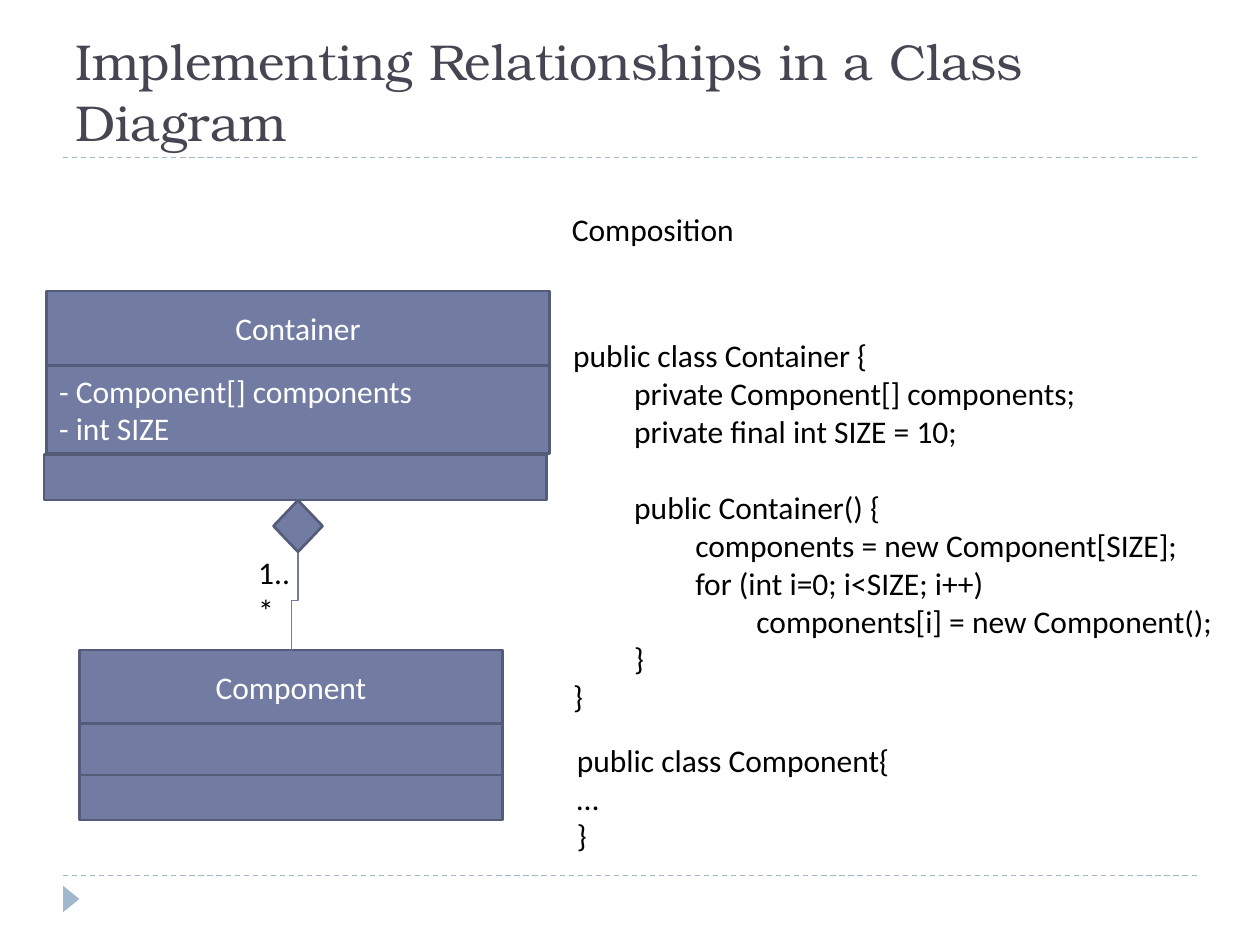
from lxml import etree
from pptx import Presentation
from pptx import util as u
from pptx.dml.color import RGBColor
from pptx.enum import dml, shapes, text
from pptx.oxml.ns import qn

BLUE = RGBColor(0x72, 0x7C, 0xA3)
EDGE = RGBColor(0x54, 0x5C, 0x79)
PALE = RGBColor(0x9F, 0xB8, 0xCD)
HEADING = RGBColor(0x46, 0x46, 0x53)
BLACK = RGBColor(0, 0, 0)
WHITE = RGBColor(255, 255, 255)
TAB_STEP = 0.485
CODE_GAP = 22

CONTAINER_CODE = [
    "public class Container {",
    "\tprivate Component[] components;",
    "\tprivate final int SIZE = 10;",
    "\tpublic Container() {",
    "\t\tcomponents = new Component[SIZE];",
    "\t\tfor (int i=0; i<SIZE; i++)",
    "\t\t\tcomponents[i] = new Component();",
    "\t}",
    "}",
]
COMPONENT_CODE = ["public class Component{", "…", "}"]


def inches(*values):
    return [u.Inches(value) for value in values]


def set_format(target, values):
    for name, value in values.items():
        setattr(target, name, value)


def add_tab_stops(paragraph):
    tabs = etree.SubElement(paragraph._p.get_or_add_pPr(), qn("a:tabLst"))
    for step in range(1, 4):
        position = str(int(u.Inches(TAB_STEP * step)))
        etree.SubElement(tabs, qn("a:tab"), pos=position, algn="l")


def write_lines(frame, lines, color, alignment=text.PP_ALIGN.LEFT,
                font="Calibri", size=18):
    for index, line in enumerate(lines):
        paragraph = frame.paragraphs[0] if index == 0 else frame.add_paragraph()
        paragraph.alignment = alignment
        if line.startswith("\t"):
            add_tab_stops(paragraph)
        run = paragraph.add_run()
        run.text = line
        set_format(run.font, {"name": font, "size": u.Pt(size)})
        run.font.color.rgb = color


def add_title(slide, wording):
    title = slide.shapes.title
    left, top, width, height = inches(0.5, 0.25, 9, 1)
    set_format(title, {"left": left, "top": top, "width": width, "height": height})
    set_format(title.text_frame, {
        "vertical_anchor": text.MSO_ANCHOR.BOTTOM,
        "auto_size": text.MSO_AUTO_SIZE.NONE,
        "word_wrap": True,
    })
    write_lines(title.text_frame, [wording], HEADING, font="TeX Gyre Bonum", size=28.8)


def add_text(slide, place, lines, wrap=True):
    box = slide.shapes.add_textbox(*inches(*place))
    box.text_frame.word_wrap = wrap
    write_lines(box.text_frame, lines, BLACK)
    return box


def add_shape(slide, kind, place, fill=BLUE, edge=EDGE):
    shape = slide.shapes.add_shape(kind, *inches(*place))
    shape.shadow.inherit = False
    shape.fill.solid()
    shape.fill.fore_color.rgb = fill
    if edge is None:
        shape.line.fill.background()
    else:
        shape.line.color.rgb = edge
        shape.line.width = u.Pt(1.5)
    return shape


def add_class_part(slide, place, lines=(), heading=False):
    shape = add_shape(slide, shapes.MSO_SHAPE.RECTANGLE, place)
    anchor = text.MSO_ANCHOR.MIDDLE if heading else text.MSO_ANCHOR.TOP
    alignment = text.PP_ALIGN.CENTER if heading else text.PP_ALIGN.LEFT
    shape.text_frame.vertical_anchor = anchor
    write_lines(shape.text_frame, lines, WHITE, alignment)


def add_line(slide, kind, ends, color):
    line = slide.shapes.add_connector(kind, *inches(*ends))
    line.line.color.rgb = color
    line.line.width = u.Pt(0.75)
    etree.SubElement(line._element.spPr, qn("a:effectLst"))
    return line


def add_decoration(slide):
    for y in (6.95, 1.25):
        rule = add_line(slide, shapes.MSO_CONNECTOR.STRAIGHT, (0.5, y, 9.5, y), PALE)
        rule.line.dash_style = dml.MSO_LINE.DASH
    marker = add_shape(slide, shapes.MSO_SHAPE.ISOSCELES_TRIANGLE,
                       (0.46, 7.07, 0.21, 0.13), PALE, None)
    marker.rotation = 90


def add_composition(slide):
    link = add_line(slide, shapes.MSO_CONNECTOR.ELBOW, (1.95, 4.74, 2.73, 4.79), BLUE)
    link._element.spPr.find(qn("a:xfrm")).set("rot", "5400000")
    add_shape(slide, shapes.MSO_SHAPE.DIAMOND, (2.17, 3.97, 0.39, 0.41))
    add_text(slide, (1.95, 4.34, 0.55, 0.4), ["1..*"])


def main():
    presentation = Presentation()
    set_format(presentation, {"slide_width": u.Inches(10), "slide_height": u.Inches(7.5)})
    slide = presentation.slides.add_slide(presentation.slide_layouts[5])

    add_decoration(slide)
    add_title(slide, "Implementing Relationships in a Class Diagram")
    add_text(slide, (4.44, 1.62, 1.54, 0.4), ["Composition"], wrap=False)
    code = add_text(slide, (4.45, 2.62, 5.35, 3.13), CONTAINER_CODE)
    code.text_frame.paragraphs[3].space_before = u.Pt(CODE_GAP)
    add_text(slide, (4.48, 5.83, 4.88, 1.01), COMPONENT_CODE)

    add_class_part(slide, (0.37, 2.31, 3.99, 0.59), ["Container"], heading=True)
    add_class_part(slide, (0.37, 2.9, 3.99, 0.7),
                   ["- Component[] components", "- int SIZE"])
    add_class_part(slide, (0.35, 3.61, 3.99, 0.36))
    add_class_part(slide, (0.63, 5.16, 3.36, 0.59), ["Component"], heading=True)
    add_class_part(slide, (0.63, 5.74, 3.36, 0.41))
    add_class_part(slide, (0.63, 6.15, 3.36, 0.36))
    add_composition(slide)

    presentation.save("out.pptx")


if __name__ == "__main__":
    main()
